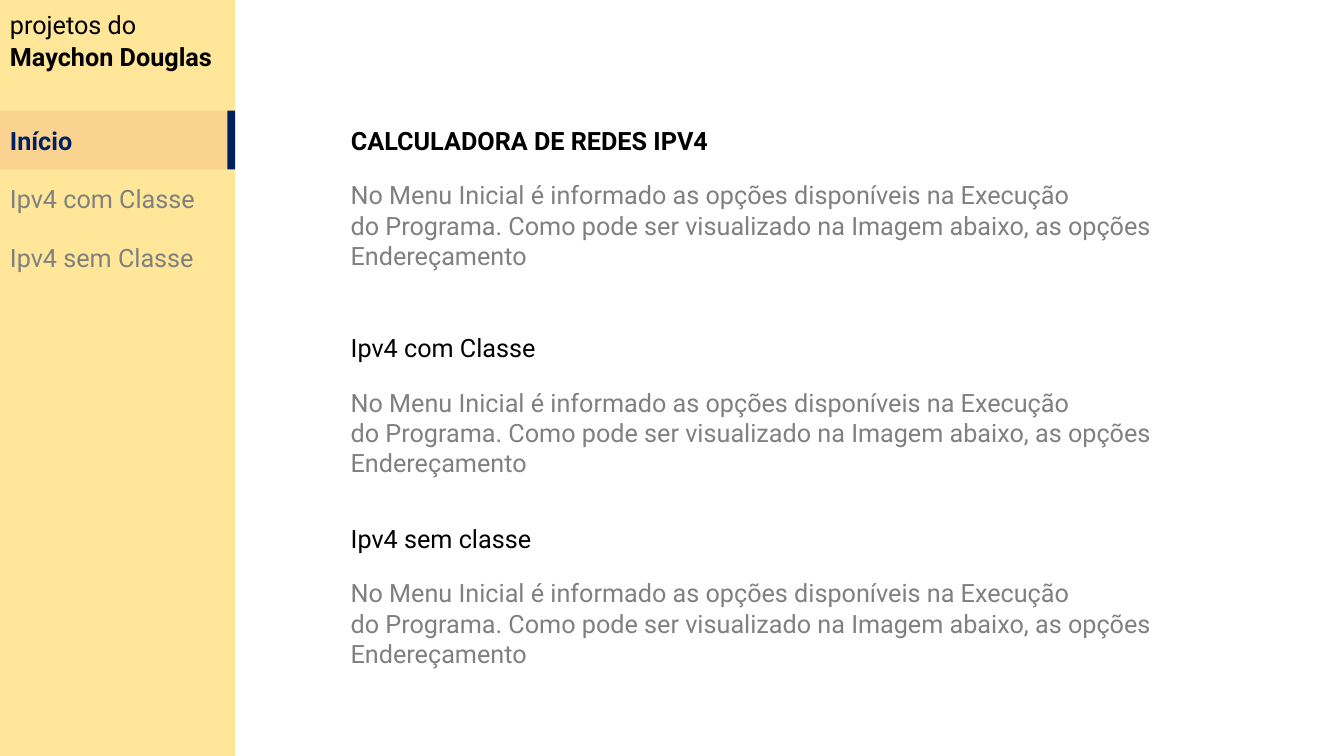
"""Build the home slide of an IPv4 network calculator with a side menu."""
from lxml import etree
from pptx import Presentation
from pptx.dml.color import RGBColor
from pptx.enum.shapes import MSO_SHAPE
from pptx.enum.text import MSO_ANCHOR, MSO_AUTO_SIZE, PP_ALIGN
from pptx.oxml.ns import qn
from pptx.util import Pt

RECTANGLE = MSO_SHAPE.RECTANGLE
TOP = MSO_ANCHOR.TOP
MIDDLE = MSO_ANCHOR.MIDDLE
LEFT = PP_ALIGN.LEFT
NO_AUTO_SIZE = MSO_AUTO_SIZE.NONE

FONT = "Roboto"
FONT_SIZE = 18
BLACK = "000000"
GRAY = "808080"
NAVY = "002060"
YELLOW = "FFE699"
ORANGE = "F4B183"

SLIDE_WIDTH, SLIDE_HEIGHT = 960, 540
SIDEBAR_WIDTH = 168
MENU_TOP = 79
ROW_HEIGHT = 42
MARKER_WIDTH = 5.5
HEADING_HEIGHT = 29
CONTENT_LEFT = 243.4
HEADING_WIDTH = 358.6
BODY_WIDTH = 658
BODY_OFFSET = 54

MENU_ITEMS = ["Início", "Ipv4 com Classe", "Ipv4 sem Classe"]
SECTIONS = [
    ("CALCULADORA DE REDES IPV4", 85.7),
    ("Ipv4 com Classe", 234),
    ("Ipv4 sem classe", 370),
]
DESCRIPTION = [
    "No Menu Inicial é informado as opções disponíveis na Execução",
    "do Programa. Como pode ser visualizado na Imagem abaixo, as opções",
    "Endereçamento",
]


def color(hex_value):
    """Return the RGB colour of a hex string."""
    return RGBColor.from_string(hex_value)


def write_text(shape, lines, hex_value, bold=False, anchor=TOP):
    """Fill a shape with one left-aligned paragraph for each line."""
    frame = shape.text_frame
    frame.word_wrap = True
    frame.auto_size = NO_AUTO_SIZE
    frame.vertical_anchor = anchor
    for index, line in enumerate(lines):
        paragraph = frame.add_paragraph() if index else frame.paragraphs[0]
        paragraph.alignment = LEFT
        run = paragraph.add_run()
        run.text = line
        run.font.name = FONT
        run.font.size = Pt(FONT_SIZE)
        run.font.bold = bold
        run.font.color.rgb = color(hex_value)


def add_text(slide, box, lines, hex_value, bold=False, anchor=TOP):
    """Add a text box."""
    shape = slide.shapes.add_textbox(*map(Pt, box))
    write_text(shape, lines, hex_value, bold, anchor)


def add_rectangle(slide, box, hex_value, opacity=100):
    """Add a borderless rectangle with an opacity in percent."""
    shape = slide.shapes.add_shape(RECTANGLE, *map(Pt, box))
    shape.shadow.inherit = False
    shape.line.fill.background()
    shape.fill.solid()
    shape.fill.fore_color.rgb = color(hex_value)
    if opacity < 100:
        fill_color = next(shape.element.spPr.iter(qn("a:srgbClr")))
        alpha = etree.SubElement(fill_color, qn("a:alpha"))
        alpha.set("val", str(opacity * 1000))
    return shape


def add_menu(slide):
    """Add the menu rows, with the first one highlighted."""
    for index, item in enumerate(MENU_ITEMS):
        top = MENU_TOP + index * ROW_HEIGHT
        box = (0, top, SIDEBAR_WIDTH, ROW_HEIGHT)
        if index:
            add_text(slide, box, [item], GRAY, anchor=MIDDLE)
        else:
            active_row = add_rectangle(slide, box, ORANGE, 34)
            write_text(active_row, [item], NAVY, True, MIDDLE)
            marker_left = SIDEBAR_WIDTH - MARKER_WIDTH
            marker_box = (marker_left, top, MARKER_WIDTH, ROW_HEIGHT)
            add_rectangle(slide, marker_box, NAVY)


def place_title(slide, box, text):
    """Move the title placeholder and write the slide title."""
    title = slide.shapes.title
    title.left, title.top, title.width, title.height = map(Pt, box)
    write_text(title, [text], BLACK, bold=True)


def add_section(slide, heading, top, is_title):
    """Add a heading and the description below it."""
    heading_box = (CONTENT_LEFT, top, HEADING_WIDTH, HEADING_HEIGHT)
    if is_title:
        place_title(slide, heading_box, heading)
    else:
        add_text(slide, heading_box, [heading], BLACK)
    body_box = (CONTENT_LEFT, top + BODY_OFFSET, BODY_WIDTH, ROW_HEIGHT)
    add_text(slide, body_box, DESCRIPTION, GRAY, anchor=MIDDLE)


def main():
    """Build and save the presentation."""
    presentation = Presentation()
    presentation.slide_width = Pt(SLIDE_WIDTH)
    presentation.slide_height = Pt(SLIDE_HEIGHT)
    slide = presentation.slides.add_slide(presentation.slide_layouts[5])
    add_rectangle(slide, (0, 0, SIDEBAR_WIDTH, SLIDE_HEIGHT), YELLOW)
    add_menu(slide)
    add_text(slide, (0, 3, 117, HEADING_HEIGHT), ["projetos do"], BLACK)
    add_text(slide, (0, 26, 176, HEADING_HEIGHT), ["Maychon Douglas"], BLACK, True)
    for index, (heading, top) in enumerate(SECTIONS):
        add_section(slide, heading, top, is_title=index == 0)
    presentation.save("out.pptx")


main()
